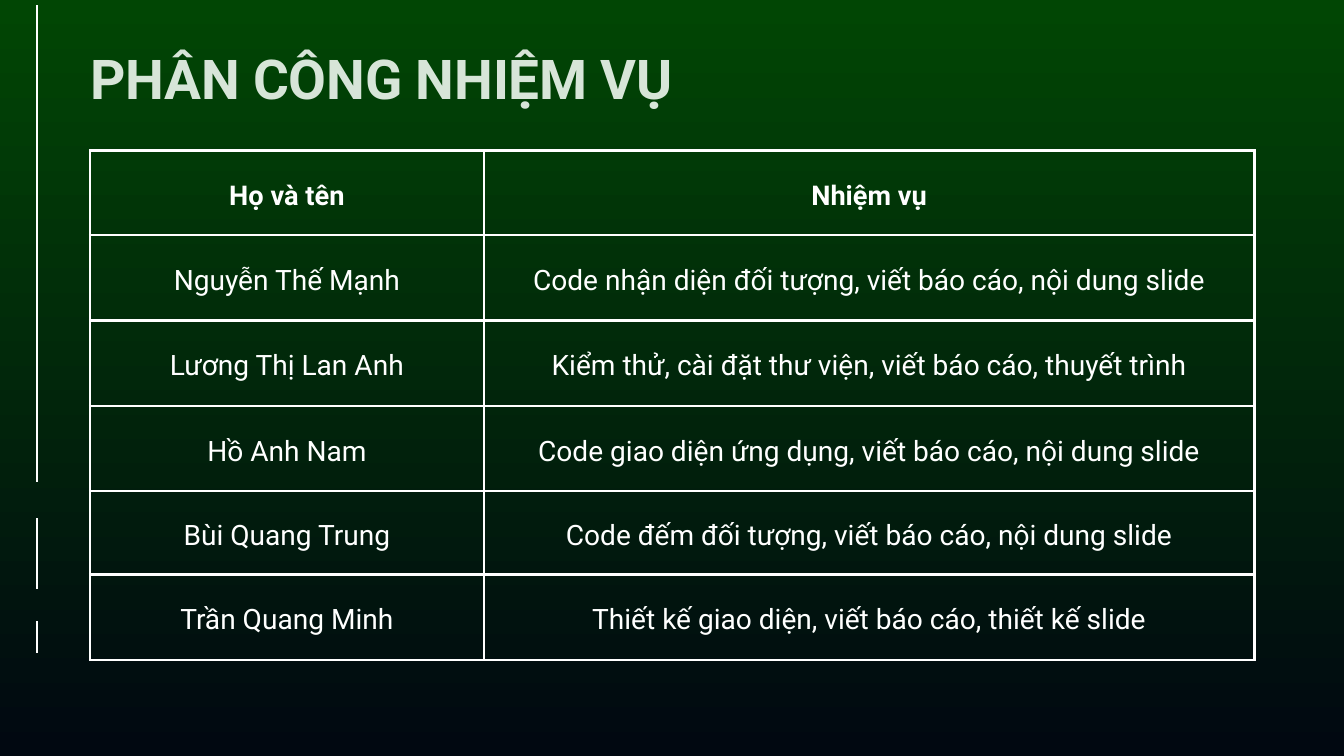
"""Build the task assignment slide: a title, a two-column table and a broken side line."""
from lxml import etree
from pptx import Presentation
from pptx.dml.color import RGBColor
from pptx.enum.shapes import MSO_CONNECTOR
from pptx.enum.text import MSO_ANCHOR, MSO_AUTO_SIZE, PP_ALIGN
from pptx.oxml import parse_xml
from pptx.oxml.ns import qn
from pptx.util import Inches, Pt

STRAIGHT = MSO_CONNECTOR.STRAIGHT
MIDDLE = MSO_ANCHOR.MIDDLE
FIT_SHAPE = MSO_AUTO_SIZE.SHAPE_TO_FIT_TEXT
CENTER = PP_ALIGN.CENTER
COLORS = {"top": "014604", "bottom": "010811", "white": "FFFFFF", "title": "D7E5D8"}
FONT = "Roboto"
NAMESPACE = "http://schemas.openxmlformats.org/drawingml/2006/main"

LEFT = 1.34
TABLE_TOP = 2.24
COLUMNS = [5.86, 11.47]
ROWS = [1.26, 1.27, 1.27, 1.27, 1.24, 1.27]
CELL_MARGIN = 0.21
SIDE_X = 0.55
SIDE_SEGMENTS = [(7.17, 0.07), (8.76, 7.71), (9.72, 9.24)]
TASKS = [
    ("Họ và tên", "Nhiệm vụ"),
    ("Nguyễn Thế Mạnh", "Code nhận diện đối tượng, viết báo cáo, nội dung slide"),
    ("Lương Thị Lan Anh", "Kiểm thử, cài đặt thư viện, viết báo cáo, thuyết trình"),
    ("Hồ Anh Nam", "Code giao diện ứng dụng, viết báo cáo, nội dung slide"),
    ("Bùi Quang Trung", "Code đếm đối tượng, viết báo cáo, nội dung slide"),
    ("Trần Quang Minh", "Thiết kế giao diện, viết báo cáo, thiết kế slide"),
]


def write(paragraph, text, size, spacing, color, bold):
    paragraph.line_spacing = Pt(spacing)
    run = paragraph.add_run()
    run.text = text
    run.font.name = FONT
    run.font.size = Pt(size)
    run.font.bold = bold
    run.font.color.rgb = RGBColor.from_string(COLORS[color])
    return run


def set_borders(cell, color, width):
    properties = cell._tc.get_or_add_tcPr()
    for index, side in enumerate(("lnL", "lnR", "lnT", "lnB")):
        border = parse_xml(
            f'<a:{side} xmlns:a="{NAMESPACE}" w="{Pt(width)}"><a:solidFill>'
            f'<a:srgbClr val="{COLORS[color]}"/></a:solidFill></a:{side}>'
        )
        properties.insert(index, border)


presentation = Presentation()
presentation.slide_width = Inches(20)
presentation.slide_height = Inches(11.25)
slide = presentation.slides.add_slide(presentation.slide_layouts[6])

background = slide.background.fill
background.gradient()
background.gradient_angle = 270
for stop, name in zip(background.gradient_stops, ("top", "bottom")):
    stop.color.rgb = RGBColor.from_string(COLORS[name])

for start, end in SIDE_SEGMENTS:
    line = slide.shapes.add_connector(
        STRAIGHT, Inches(SIDE_X), Inches(start), Inches(SIDE_X), Inches(end)
    )
    line.line.color.rgb = RGBColor.from_string(COLORS["white"])
    line.line.width = Pt(1.5)
    etree.SubElement(line._element.spPr, qn("a:effectLst"))

table = slide.shapes.add_table(
    len(ROWS), len(COLUMNS), Inches(LEFT), Inches(TABLE_TOP),
    Inches(sum(COLUMNS)), Inches(sum(ROWS)),
).table
table.first_row = False
table.horz_banding = False
for column, width in zip(table.columns, COLUMNS):
    column.width = Inches(width)
for row_index, (row, height, texts) in enumerate(zip(table.rows, ROWS, TASKS)):
    row.height = Inches(height)
    header = row_index == 0
    size, spacing = (29.1, 40.7) if header else (30.1, 42.1)
    for cell, text in zip(row.cells, texts):
        cell.fill.background()
        set_borders(cell, "white", 3)
        cell.vertical_anchor = MIDDLE
        cell.margin_left = cell.margin_right = Inches(CELL_MARGIN)
        cell.margin_top = cell.margin_bottom = Inches(CELL_MARGIN)
        paragraph = cell.text_frame.paragraphs[0]
        paragraph.alignment = CENTER
        write(paragraph, text, size, spacing, "white", header)

title = slide.shapes.add_textbox(Inches(LEFT), Inches(0.62), Inches(9), Inches(0.99))
frame = title.text_frame
frame.word_wrap = True
frame.auto_size = FIT_SHAPE
frame.margin_left = frame.margin_right = frame.margin_top = frame.margin_bottom = 0
title_run = write(frame.paragraphs[0], "PHÂN CÔNG NHIỆM VỤ", 58.8, 73.5, "title", True)
title_run._r.get_or_add_rPr().set("spc", "-20")

presentation.save("out.pptx")
